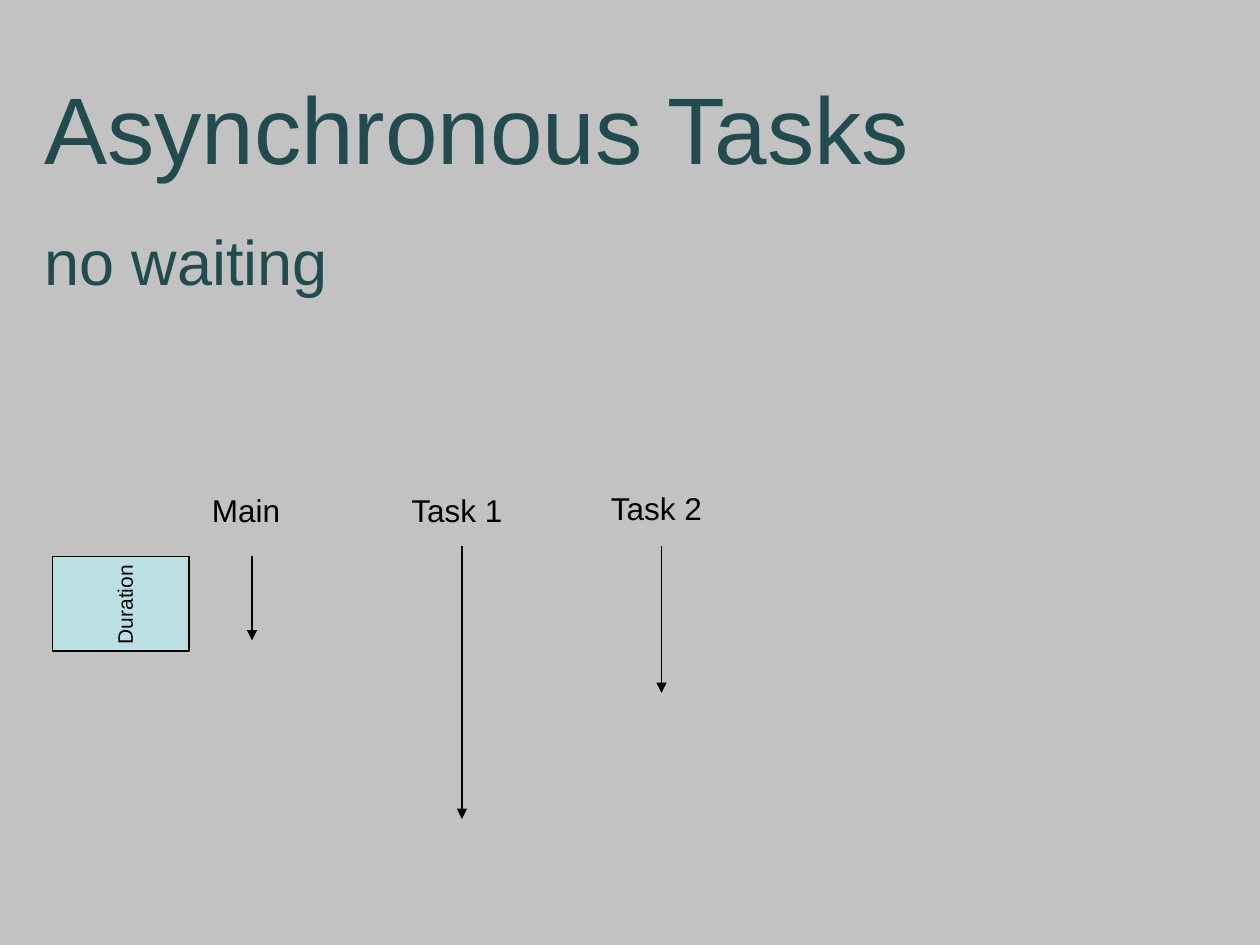
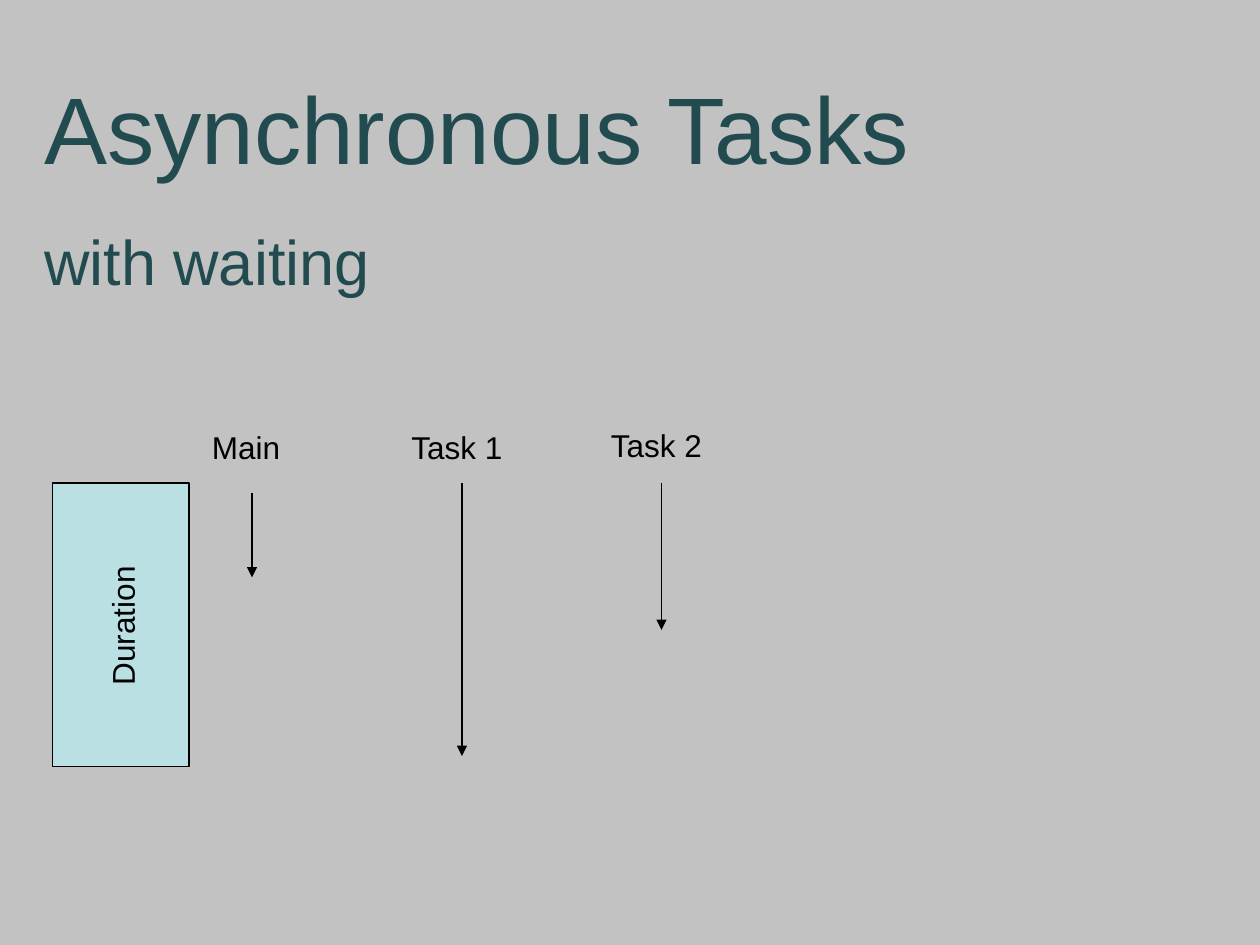
"""Build two slides that compare asynchronous tasks with and without waiting."""
from dataclasses import dataclass

from lxml.etree import SubElement
from pptx import Presentation
from pptx.dml.color import RGBColor
from pptx.enum.shapes import MSO_CONNECTOR, MSO_SHAPE
from pptx.enum.text import MSO_ANCHOR, MSO_AUTO_SIZE, PP_ALIGN
from pptx.oxml.ns import qn
from pptx.util import Emu, Pt

PX = 914400 // 120
BACKGROUND, HEADING, INK, DURATION_FILL = "C2C2C2", "224B50", "000000", "BBE0E3"
LINE_WIDTH = Pt(0.75)
SPACE_PER_SIZE = 0.625
FRAME_FORMAT = {
    "word_wrap": True,
    "auto_size": MSO_AUTO_SIZE.NONE,
    "vertical_anchor": MSO_ANCHOR.BOTTOM,
    "margin_left": 12 * PX,
    "margin_right": 12 * PX,
    "margin_top": 6 * PX,
    "margin_bottom": 6 * PX,
}


@dataclass(frozen=True)
class Box:
    left: int
    top: int
    width: int
    height: int

    def emu(self) -> tuple:
        return tuple(Emu(n * PX) for n in (self.left, self.top, self.width, self.height))


@dataclass(frozen=True)
class Task:
    name: str
    label_left: int
    label_top: int
    arrow_x: int
    start: int
    end: int


@dataclass(frozen=True)
class Scenario:
    subtitle: str
    title_width: int
    rise: int
    duration: Box
    duration_label: Box
    duration_size: int


TASKS = (
    Task("Main", 190, 462, 240, 530, 610),
    Task("Task 1", 380, 462, 440, 520, 780),
    Task("Task 2", 570, 460, 630, 520, 660),
)
SCENARIOS = (
    Scenario("no waiting", 1120, 0, Box(50, 530, 130, 90), Box(65, 554, 107, 36), 12),
    Scenario("with waiting", 1070, 60, Box(50, 460, 130, 270), Box(29, 553, 175, 48), 18),
)


def rgb(value: str) -> RGBColor:
    return RGBColor.from_string(value)


def apply_format(target, values: dict) -> None:
    for attribute, value in values.items():
        setattr(target, attribute, value)


def write(frame, lines: tuple, color: str) -> None:
    apply_format(frame, FRAME_FORMAT)
    for index, (text, size) in enumerate(lines):
        paragraph = frame.add_paragraph() if index else frame.paragraphs[0]
        apply_format(paragraph, {
            "alignment": PP_ALIGN.LEFT,
            "space_before": Pt(size * SPACE_PER_SIZE),
        })
        run = paragraph.add_run()
        run.text = text
        apply_format(run.font, {"name": "Arial", "size": Pt(size)})
        run.font.color.rgb = rgb(color)


def add_label(slide, text: str, box: Box, size: int = 18, rotation: int = 0) -> None:
    label = slide.shapes.add_textbox(*box.emu())
    label.rotation = rotation
    write(label.text_frame, ((text, size),), INK)


def add_title(slide, scenario: Scenario) -> None:
    title = slide.shapes.title
    place = Box(30, 60, scenario.title_width, 230).emu()
    apply_format(title, dict(zip(("left", "top", "width", "height"), place)))
    write(title.text_frame, (("Asynchronous Tasks", 54), (scenario.subtitle, 36)), HEADING)


def add_task(slide, task: Task, rise: int) -> None:
    x, start, end = (Emu(n * PX) for n in (task.arrow_x, task.start - rise, task.end - rise))
    arrow = slide.shapes.add_connector(MSO_CONNECTOR.STRAIGHT, x, start, x, end)
    arrow.line.color.rgb = rgb(INK)
    arrow.line.width = LINE_WIDTH
    properties = arrow.line._get_or_add_ln()
    SubElement(properties, qn("a:tailEnd"), type="triangle")
    SubElement(properties.getparent(), qn("a:effectLst"))
    add_label(slide, task.name, Box(task.label_left, task.label_top - rise, 120, 48))


def add_duration(slide, scenario: Scenario) -> None:
    duration = slide.shapes.add_shape(MSO_SHAPE.RECTANGLE, *scenario.duration.emu())
    duration.shadow.inherit = False
    duration.fill.solid()
    duration.fill.fore_color.rgb = rgb(DURATION_FILL)
    duration.line.color.rgb = rgb(INK)
    duration.line.width = LINE_WIDTH
    add_label(slide, "Duration", scenario.duration_label, scenario.duration_size, 270)


def main() -> None:
    deck = Presentation()
    apply_format(deck, {"slide_width": Emu(1200 * PX), "slide_height": Emu(900 * PX)})
    backdrop = deck.slide_master.background.fill
    backdrop.solid()
    backdrop.fore_color.rgb = rgb(BACKGROUND)
    for scenario in SCENARIOS:
        slide = deck.slides.add_slide(deck.slide_layouts.get_by_name("Title Only"))
        add_title(slide, scenario)
        for task in TASKS:
            add_task(slide, task, scenario.rise)
        add_duration(slide, scenario)
    deck.save("out.pptx")


if __name__ == "__main__":
    main()
